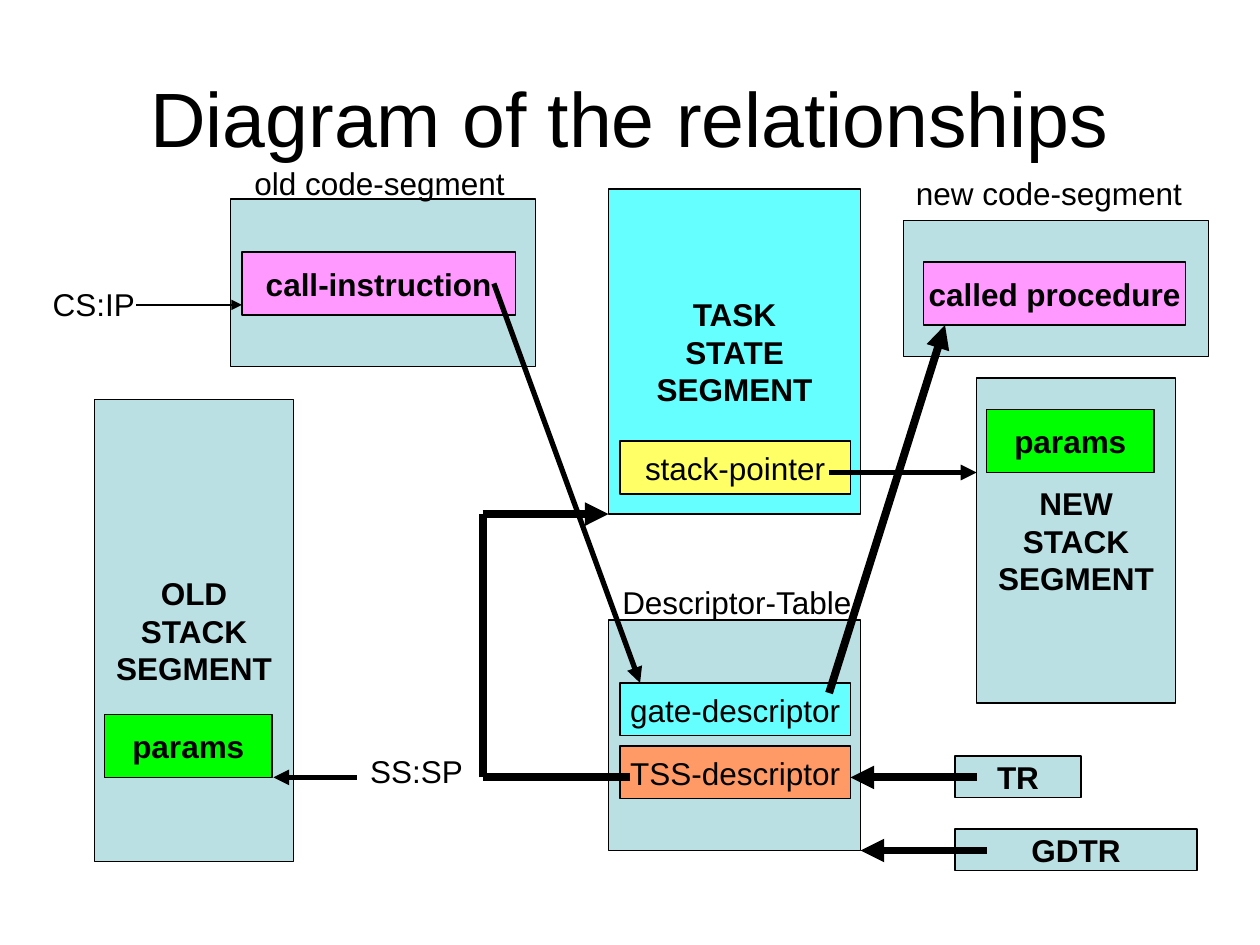
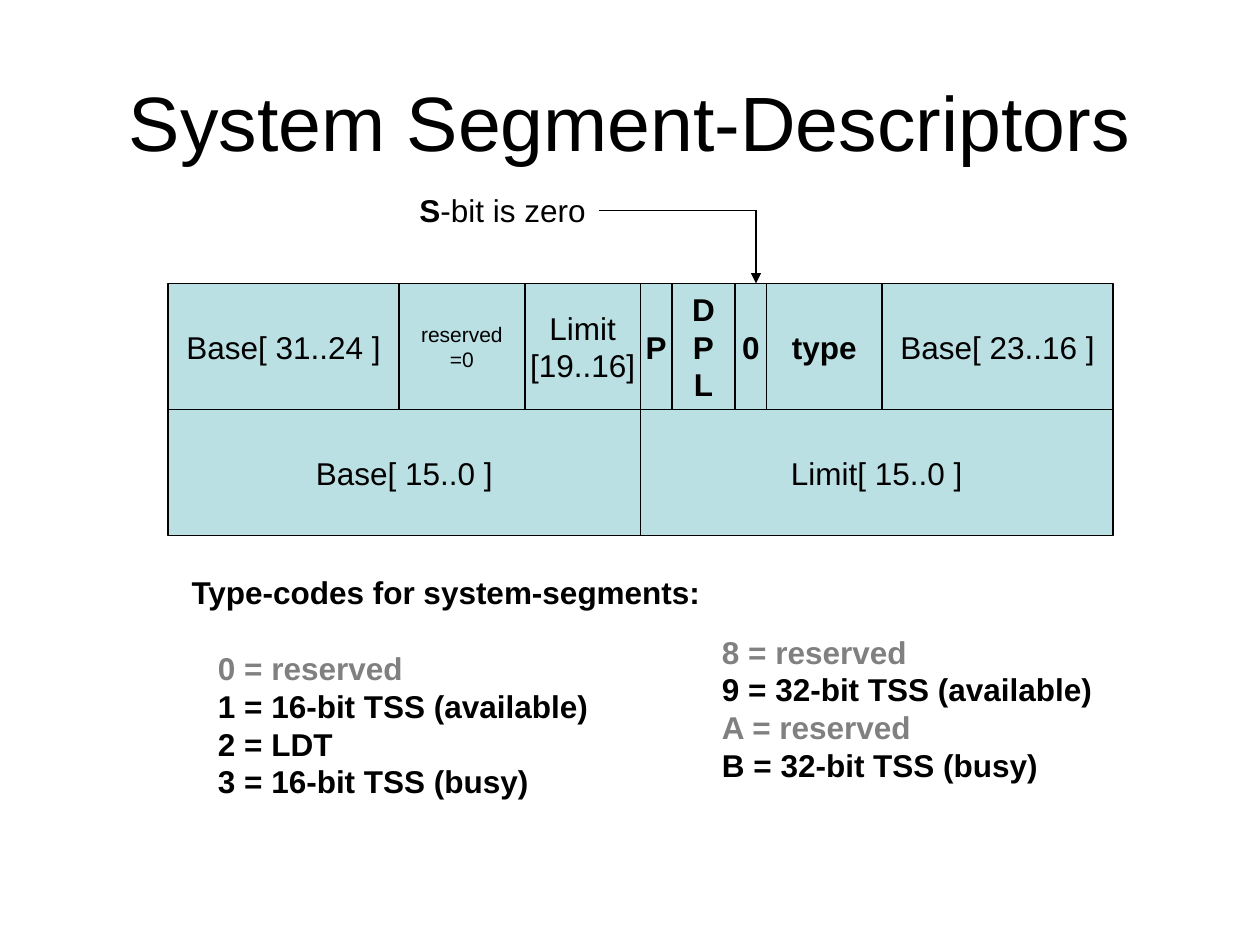
from dataclasses import dataclass
from itertools import pairwise
from lxml.etree import SubElement
from pptx import Presentation
from pptx.dml.color import RGBColor
from pptx.enum.shapes import MSO_CONNECTOR, MSO_SHAPE
from pptx.enum.text import MSO_ANCHOR, MSO_AUTO_SIZE, PP_ALIGN
from pptx.oxml.ns import qn
from pptx.util import Inches, Pt


@dataclass(frozen=True)
class Theme:
    font: str = "Arial"
    ink: str = "000000"
    gray: str = "808080"
    pale: str = "BBE0E3"
    cyan: str = "66FFFF"
    yellow: str = "FFFF66"
    green: str = "00FF00"
    pink: str = "FF99FF"
    orange: str = "FF9966"
    title: int = 44
    text: int = 18
    small: int = 12
    thin: float = 0.75
    mid: float = 3
    thick: float = 4.5


T = Theme()

BOXES = [
    ((1.83, 1.58, 2.42, 1.33), T.pale, [], False),
    ((4.83, 1.5, 2, 2.58), T.cyan, ["TASK", "STATE", "SEGMENT"], True),
    ((7.75, 3, 1.58, 2.58), T.pale, ["NEW", "STACK", "SEGMENT"], True),
    ((4.83, 4.92, 2, 1.83), T.pale, [], False),
    ((0.75, 3.17, 1.58, 3.67), T.pale, ["OLD", "STACK", "SEGMENT"], True),
    ((7.17, 1.75, 2.42, 1.08), T.pale, [], False),
    ((4.92, 3.5, 1.83, 0.42), T.yellow, ["stack-pointer"], False),
    ((0.83, 5.67, 1.33, 0.5), T.green, ["params"], True),
    ((7.83, 3.25, 1.33, 0.5), T.green, ["params"], True),
    ((4.92, 5.42, 1.83, 0.42), T.cyan, ["gate-descriptor"], False),
    ((4.92, 5.92, 1.83, 0.42), T.orange, ["TSS-descriptor"], False),
    ((1.92, 2, 2.17, 0.5), T.pink, ["call-instruction"], True),
    ((7.33, 2.08, 2.08, 0.5), T.pink, ["called procedure"], True),
    ((7.58, 6, 1, 0.33), T.pale, ["TR"], True),
    ((7.58, 6.58, 1.92, 0.33), T.pale, ["GDTR"], True),
]
LABELS = [
    ((1.92, 1.25, 2.19, 0.4), "old code-segment"),
    ((7.17, 1.33, 2.31, 0.4), "new code-segment"),
    ((4.84, 4.58, 2.05, 0.4), "Descriptor-Table"),
    ((0.32, 2.21, 0.87, 0.4), "CS:IP"),
    ((2.84, 5.92, 0.96, 0.4), "SS:SP"),
]
LINKS = [
    ([(1.08, 2.42), (1.92, 2.42)], T.thin),
    ([(6.58, 3.75), (7.75, 3.75)], T.mid),
    ([(2.83, 6.17), (2.17, 6.17)], T.mid),
    ([(3.92, 2.25), (5.08, 5.42)], T.mid),
    ([(7.75, 6.17), (6.75, 6.17)], T.thick),
    ([(7.83, 6.75), (6.83, 6.75)], T.thick),
    ([(5, 6.17), (3.83, 6.17), (3.83, 4.08), (4.83, 4.08)], T.thick),
    ([(6.58, 5.5), (7.5, 2.58)], T.thick),
]

UNIT = 1 / 12
LEFT, TOP, HIGH = 16 * UNIT, 2.25, 1
ROWS = [
    [
        (22, ["Base[ 31..24 ]"], False, T.text),
        (12, ["reserved", "=0"], False, T.small),
        (11, ["Limit", "[19..16]"], False, T.text),
        (3, ["P"], True, T.text),
        (6, ["D", "P", "L"], True, T.text),
        (3, ["0"], True, T.text),
        (11, ["type"], True, T.text),
        (22, ["Base[ 23..16 ]"], False, T.text),
    ],
    [
        (45, ["Base[ 15..0 ]"], False, T.text),
        (45, ["Limit[ 15..0 ]"], False, T.text),
    ],
]
HEAD = "Type-codes for system-segments:"
CODES = [
    ((1.42, 4.5, 4.25, 1.9), HEAD,
     ["0 = reserved", "1 = 16-bit TSS (available)", "2 = LDT",
      "3 = 16-bit TSS (busy)"]),
    ((5.42, 4.97, 3.5, 1.3), None,
     ["8 = reserved", "9 = 32-bit TSS (available)", "A = reserved",
      "B = 32-bit TSS (busy)"]),
]
FLAG = (3.23, 1.47, 1.52, 0.4)
ROUTE = [(4.75, 1.67), (6, 1.67), (6, 2.25)]


def place(shape, spot):
    shape.left, shape.top, shape.width, shape.height = map(Inches, spot)


def add_run(par, text, bold=False, size=T.text, color=T.ink):
    run = par.add_run()
    run.text = text
    run.font.name = T.font
    run.font.size = Pt(size)
    run.font.bold = bold
    run.font.color.rgb = RGBColor.from_string(color)


def next_par(frame, first):
    return frame.paragraphs[0] if first else frame.add_paragraph()


def add_slide(deck, layout, title, top):
    slide = deck.slides.add_slide(deck.slide_layouts[layout])
    head = slide.shapes.title
    place(head, (0.5, top, 9, 1.25))
    frame = head.text_frame
    frame.auto_size = MSO_AUTO_SIZE.NONE
    frame.vertical_anchor = MSO_ANCHOR.MIDDLE
    par = frame.paragraphs[0]
    par.alignment = PP_ALIGN.CENTER
    add_run(par, title, size=T.title)
    return slide


def add_box(slide, spot, fill, lines, bold, size=T.text):
    box = slide.shapes.add_shape(MSO_SHAPE.RECTANGLE, *map(Inches, spot))
    box.shadow.inherit = False
    box.fill.solid()
    box.fill.fore_color.rgb = RGBColor.from_string(fill)
    box.line.color.rgb = RGBColor.from_string(T.ink)
    box.line.width = Pt(T.thin)
    frame = box.text_frame
    frame.word_wrap = False
    frame.vertical_anchor = MSO_ANCHOR.MIDDLE
    for i, line in enumerate(lines):
        par = next_par(frame, i == 0)
        par.alignment = PP_ALIGN.CENTER
        add_run(par, line, bold, size)


def add_label(slide, spot, runs):
    label = slide.shapes.add_textbox(*map(Inches, spot))
    label.text_frame.word_wrap = False
    label.text_frame.auto_size = MSO_AUTO_SIZE.SHAPE_TO_FIT_TEXT
    for text, bold in runs:
        add_run(label.text_frame.paragraphs[0], text, bold)
    return label


def add_link(slide, points, width):
    cords = []
    for start, end in pairwise(points):
        cord = slide.shapes.add_connector(
            MSO_CONNECTOR.STRAIGHT, *map(Inches, (*start, *end)))
        cord.line.color.rgb = RGBColor.from_string(T.ink)
        cord.line.width = Pt(width)
        SubElement(cord._element.spPr, qn("a:effectLst"))
        cords.append(cord)
    edge = cords[-1]._element.spPr.find(qn("a:ln"))
    SubElement(edge, qn("a:tailEnd"), type="triangle")
    return cords


def add_codes(body, spot, head, codes):
    place(body, spot)
    frame = body.text_frame
    frame.word_wrap = True
    frame.auto_size = MSO_AUTO_SIZE.NONE
    frame.vertical_anchor = MSO_ANCHOR.TOP
    lines = ([head] if head else []) + codes
    for i, line in enumerate(lines):
        par = next_par(frame, i == 0)
        props = par._p.get_or_add_pPr()
        props.set("marL", str(Inches(0 if line == head else 0.21)))
        props.set("indent", "0")
        SubElement(props, qn("a:buNone"))
        par.space_before = Pt(21.6 if head and i == 1 else 0)
        color = T.gray if line.endswith("reserved") else T.ink
        add_run(par, line, True, color=color)


def draw_map(deck):
    slide = add_slide(deck, 5, "Diagram of the relationships", 0.3)
    for box in BOXES:
        add_box(slide, *box)
    for spot, text in LABELS:
        add_label(slide, spot, [(text, False)])
    for points, width in LINKS:
        add_link(slide, points, width)


def draw_fields(deck):
    slide = add_slide(deck, 3, "System Segment-Descriptors", 0.33)
    for body, codes in zip(list(slide.placeholders)[1:], CODES):
        add_codes(body, *codes)
    for i, row in enumerate(ROWS):
        left = LEFT
        for units, lines, bold, size in row:
            wide = units * UNIT
            spot = (left, TOP + i * HIGH, wide, HIGH)
            add_box(slide, spot, T.pale, lines, bold, size)
            left += wide
    label = add_label(slide, FLAG, [("S", True), ("-bit is zero", False)])
    cords = add_link(slide, ROUTE, T.thin)
    cords[0].begin_connect(label, 3)


def main():
    deck = Presentation()
    deck.slide_width, deck.slide_height = Inches(10), Inches(7.5)
    draw_map(deck)
    draw_fields(deck)
    deck.save("out.pptx")


if __name__ == "__main__":
    main()
